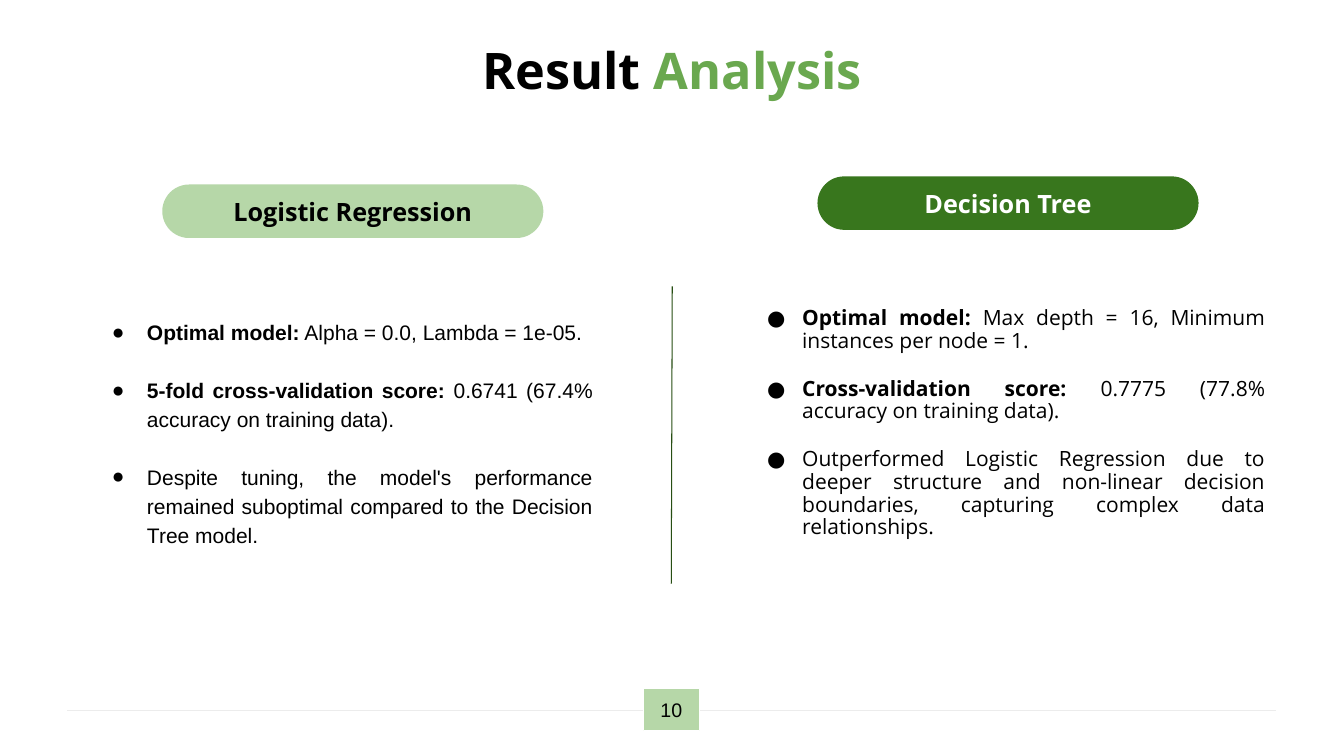
from lxml.etree import SubElement
from pptx import Presentation
from pptx.dml.color import RGBColor
from pptx.enum.shapes import MSO_CONNECTOR as Connector, MSO_SHAPE as Shape
from pptx.enum.text import MSO_ANCHOR as Anchor, PP_ALIGN as Align
from pptx.oxml.ns import qn
from pptx.util import Pt

BLACK = RGBColor(0x00, 0x00, 0x00)
WHITE = RGBColor(0xFF, 0xFF, 0xFF)
GREEN = RGBColor(0x6A, 0xA8, 0x4F)
PALE_GREEN = RGBColor(0xB6, 0xD7, 0xA8)
DARK_GREEN = RGBColor(0x38, 0x76, 0x1D)
DIVIDER_GREEN = RGBColor(0x27, 0x4E, 0x13)
RULE_GREY = RGBColor(0xEC, 0xEC, 0xEC)

LEFT_POINTS = [
    [("Optimal model:", True), (" Alpha = 0.0, Lambda = 1e-05.", False)],
    [("5-fold cross-validation score:", True),
     (" 0.6741 (67.4% accuracy on training data).", False)],
    [("Despite tuning, the model's performance remained suboptimal "
      "compared to the Decision Tree model.", False)],
]
RIGHT_POINTS = [
    [("Optimal model: ", True),
     ("Max depth = 16, Minimum instances per node = 1.", False)],
    [("Cross-validation score:", True),
     (" 0.7775 (77.8% accuracy on training data).", False)],
    [("Outperformed Logistic Regression due to deeper structure and "
      "non-linear decision boundaries, capturing complex data "
      "relationships.", False)],
]


class SlideBuilder:
    """Draws styled elements on one slide, with lengths in points."""

    heading_font = "Open Sans"
    plain_font = "Arial"

    def __init__(self, slide):
        self.slide = slide

    def add_run(self, paragraph, text, size, font, color=BLACK, bold=False):
        run = paragraph.add_run()
        run.text = text
        run.font.size = Pt(size)
        run.font.name = font
        run.font.bold = bold
        run.font.color.rgb = color

    def set_frame(self, shape, inset, anchor):
        frame = shape.text_frame
        frame.word_wrap = True
        frame.vertical_anchor = anchor
        frame.margin_left = frame.margin_right = Pt(7.2)
        frame.margin_top = frame.margin_bottom = Pt(inset)
        return frame

    def add_title(self, box, parts):
        shape = self.slide.shapes.add_textbox(*map(Pt, box))
        paragraph = self.set_frame(shape, 5, Anchor.MIDDLE).paragraphs[0]
        paragraph.alignment = Align.CENTER
        for text, color in parts:
            self.add_run(paragraph, text, 36, self.heading_font, color, True)

    def add_label(self, kind, box, text, size, font, fill, color, bold, border=None):
        shape = self.slide.shapes.add_shape(kind, *map(Pt, box))
        shape.shadow.inherit = False
        if kind == Shape.ROUNDED_RECTANGLE:
            shape.adjustments[0] = 0.5
        shape.fill.solid()
        shape.fill.fore_color.rgb = fill
        if border is None:
            shape.line.fill.background()
        else:
            shape.line.color.rgb = border
            shape.line.width = Pt(0.75)
        paragraph = self.set_frame(shape, 3.6, Anchor.MIDDLE).paragraphs[0]
        paragraph.alignment = Align.CENTER
        self.add_run(paragraph, text, size, font, color, bold)

    def add_pill(self, left, top, text, fill, color):
        self.add_label(Shape.ROUNDED_RECTANGLE, (left, top, 272.2, 38.2), text,
                       18, self.heading_font, fill, color, True)

    def add_bullets(self, box, points, font, inset, spacing, gap):
        shape = self.slide.shapes.add_textbox(*map(Pt, box))
        frame = self.set_frame(shape, inset, Anchor.TOP)
        for index, runs in enumerate(points):
            paragraph = frame.add_paragraph() if index else frame.paragraphs[0]
            paragraph.alignment = Align.JUSTIFY
            paragraph.line_spacing = spacing
            paragraph.space_before = Pt(gap if index else 0)
            properties = paragraph._p.get_or_add_pPr()
            properties.set("marL", str(Pt(36)))
            properties.set("indent", str(Pt(-25)))
            bullet_color = SubElement(properties, qn("a:buClr"))
            SubElement(bullet_color, qn("a:srgbClr")).set("val", str(BLACK))
            SubElement(properties, qn("a:buFont")).set("typeface", font)
            SubElement(properties, qn("a:buChar")).set("char", "●")
            for text, bold in runs:
                self.add_run(paragraph, text, 15, font, bold=bold)

    def add_line(self, start, end, color):
        line = self.slide.shapes.add_connector(
            Connector.STRAIGHT, *map(Pt, (*start, *end)))
        line.line.color.rgb = color
        line.line.width = Pt(0.75)
        SubElement(line._element.spPr, qn("a:effectLst"))


def main():
    presentation = Presentation()
    presentation.slide_width = Pt(960)
    presentation.slide_height = Pt(540)
    slide = presentation.slides.add_slide(presentation.slide_layouts[6])
    builder = SlideBuilder(slide)

    builder.add_line((48, 507.6), (911.5, 507.6), RULE_GREY)
    builder.add_title((48, 21.6, 864, 56.2),
                      [("Result ", BLACK), ("Analysis", GREEN)])
    builder.add_line((480.2, 204.5), (479.5, 416.9), DIVIDER_GREEN)

    builder.add_pill(115.9, 131.8, "Logistic Regression", PALE_GREEN, BLACK)
    builder.add_bullets((61.9, 218.2, 368.6, 190), LEFT_POINTS,
                        builder.plain_font, 7.2, 1.15, 20.7)
    builder.add_pill(583.9, 126, "Decision Tree", DARK_GREEN, WHITE)
    builder.add_bullets((529.9, 216, 380.9, 198.7), RIGHT_POINTS,
                        builder.heading_font, 3.6, 0.9, 18)

    builder.add_label(Shape.RECTANGLE, (459.4, 491.8, 40.3, 30.2), "10", 14,
                      builder.plain_font, PALE_GREEN, BLACK, False, WHITE)
    presentation.save("out.pptx")


if __name__ == "__main__":
    main()
